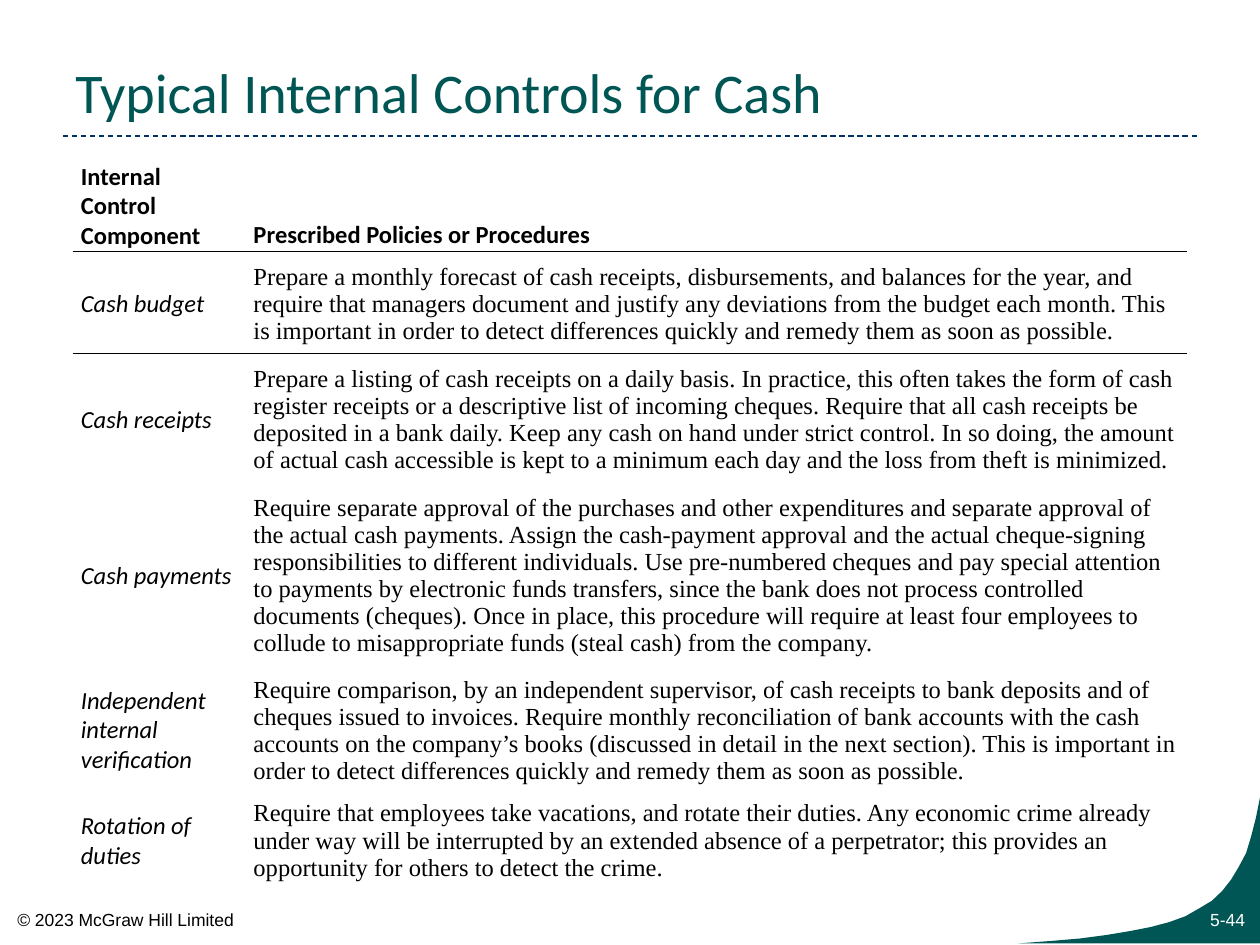
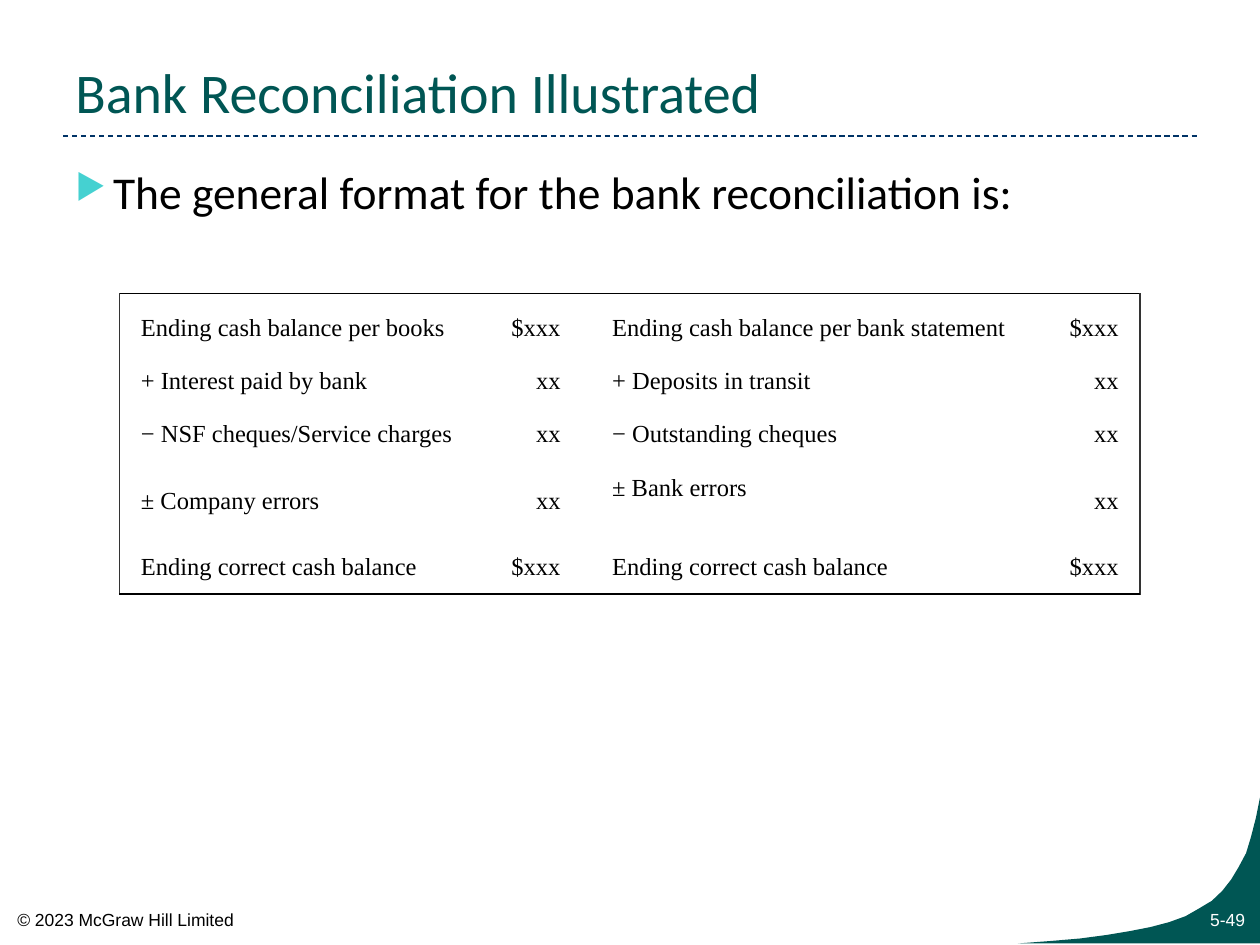
"""Build two slides on internal controls for cash and bank reconciliation."""
from dataclasses import dataclass

from pptx import Presentation
from pptx.dml.color import RGBColor
from pptx.enum.dml import MSO_LINE
from pptx.enum.shapes import MSO_CONNECTOR
from pptx.enum.text import MSO_ANCHOR, PP_ALIGN
from pptx.oxml.ns import qn
from pptx.util import Cm, Pt
from lxml.etree import SubElement


@dataclass(frozen=True)
class Theme:
    teal: str = "005654"
    navy: str = "003366"
    bullet: str = "45D1D1"
    ink: str = "000000"
    frame: str = "333333"
    paper: str = "FFFFFF"
    heading: str = "Calibri"
    prose: str = "Times New Roman"
    small: str = "Arial"
    title_size: int = 32
    body_size: int = 26
    table_size: int = 14
    footer_size: int = 10
    rule_width: float = 0.75
    plain_table: str = "{2D5ABB26-0587-4C30-8999-92F81FD0307C}"


theme = Theme()


def write(frame, text, face, size, color=theme.ink, align=PP_ALIGN.LEFT, bold=False, italic=False):
    paragraph = frame.paragraphs[0]
    paragraph.alignment = align
    paragraph.add_run().text = text
    font = paragraph.font
    font.name, font.size, font.bold, font.italic = face, Pt(size), bold, italic
    font.color.rgb = RGBColor.from_string(color)


def style_cell(cell, insets, anchor, borders):
    cell.margin_left, cell.margin_top, cell.margin_right, cell.margin_bottom = map(Cm, insets)
    cell.vertical_anchor = anchor
    properties = cell._tc.get_or_add_tcPr()
    for side in "LRTB":
        if side in borders:
            line = SubElement(properties, qn(f"a:ln{side}"), w=str(Pt(theme.rule_width)))
            SubElement(SubElement(line, qn("a:solidFill")), qn("a:srgbClr"), val=borders[side])
    cell.fill.solid()
    cell.fill.fore_color.rgb = RGBColor.from_string(theme.paper)


deck = Presentation()
deck.slide_width, deck.slide_height = Cm(25.4), Cm(19.05)

corner_curve = [
    (25.4, 16.08), (25.32, 16.48), (25.22, 16.87), (25.12, 17.2), (24.97, 17.48), (24.82, 17.73),
    (24.64, 17.96), (24.43, 18.16), (24.18, 18.31), (23.9, 18.47), (23.57, 18.59), (23.19, 18.69),
    (22.78, 18.77), (22.3, 18.85), (21.77, 18.92), (21.18, 18.97), (20.52, 19.02), (25.4, 19.02),
]
table_specs = [
    (6, 1.47, 3.18, [3.33, 0.23, 18.9], [1.88, 2.06, 2.62, 3.66, 2.56, 1.88]),
    (5, 2.41, 5.92, [7.14, 0.48, 1.47, 0.64, 8.61, 0.48, 1.75], [1.27, 0.86, 1.25, 1.47, 1.19]),
]
titles = [("Typical Internal Controls for Cash", "5-44"), ("Bank Reconciliation Illustrated", "5-49")]

pages, tables = [], []
for (title, number), (row_count, left, top, widths, heights) in zip(titles, table_specs):
    page = deck.slides.add_slide(deck.slide_layouts[6])
    pages.append(page)

    rule = page.shapes.add_connector(MSO_CONNECTOR.STRAIGHT, Cm(1.27), Cm(2.74), Cm(24.13), Cm(2.74))
    rule.line.color.rgb = RGBColor.from_string(theme.navy)
    rule.line.width = Pt(theme.rule_width)
    rule.line.dash_style = MSO_LINE.DASH
    SubElement(rule._element.spPr, qn("a:effectLst"))

    points = [(Cm(x), Cm(y)) for x, y in corner_curve]
    builder = page.shapes.build_freeform(*points[0])
    builder.add_line_segments(points[1:], close=True)
    corner = builder.convert_to_shape()
    corner.shadow.inherit = False
    corner.fill.solid()
    corner.fill.fore_color.rgb = RGBColor.from_string(theme.teal)
    corner.line.fill.background()

    number_box = page.shapes.add_textbox(Cm(22.86), Cm(18.19), Cm(2.49), Cm(0.69))
    number_box.text_frame.word_wrap = True
    write(number_box.text_frame, number, theme.small, theme.footer_size, theme.paper, PP_ALIGN.RIGHT)

    copyright_box = page.shapes.add_textbox(Cm(0.1), Cm(18.21), Cm(4.93), Cm(0.69))
    copyright_box.text_frame.word_wrap = False
    write(copyright_box.text_frame, "© 2023 McGraw Hill Limited", theme.small, theme.footer_size)

    title_box = page.shapes.add_textbox(Cm(1.27), Cm(0.43), Cm(22.86), Cm(2.21))
    title_box.text_frame.word_wrap = True
    title_box.text_frame.vertical_anchor = MSO_ANCHOR.BOTTOM
    write(title_box.text_frame, title, theme.heading, theme.title_size, theme.teal)

    graphic = page.shapes.add_table(
        row_count, len(widths), Cm(left), Cm(top), Cm(sum(widths)), Cm(sum(heights)))
    next(graphic._element.iter(qn("a:tableStyleId"))).text = theme.plain_table
    table = graphic.table
    table.first_row = table.horz_banding = False
    for column, width in zip(table.columns, widths):
        column.width = Cm(width)
    for row, height in zip(table.rows, heights):
        row.height = Cm(height)
    tables.append(table)

controls = [
    ("Internal Control Component", "Prescribed Policies or Procedures"),
    ("Cash budget",
     "Prepare a monthly forecast of cash receipts, disbursements, and balances for the year, and "
     "require that managers document and justify any deviations from the budget each month. This "
     "is important in order to detect differences quickly and remedy them as soon as possible."),
    ("Cash receipts",
     "Prepare a listing of cash receipts on a daily basis. In practice, this often takes the form of "
     "cash register receipts or a descriptive list of incoming cheques. Require that all cash receipts "
     "be deposited in a bank daily. Keep any cash on hand under strict control. In so doing, the amount "
     "of actual cash accessible is kept to a minimum each day and the loss from theft is minimized."),
    ("Cash payments",
     "Require separate approval of the purchases and other expenditures and separate approval of "
     "the actual cash payments. Assign the cash-payment approval and the actual cheque-signing "
     "responsibilities to different individuals. Use pre-numbered cheques and pay special attention "
     "to payments by electronic funds transfers, since the bank does not process controlled "
     "documents (cheques). Once in place, this procedure will require at least four employees to "
     "collude to misappropriate funds (steal cash) from the company."),
    ("Independent internal verification",
     "Require comparison, by an independent supervisor, of cash receipts to bank deposits and of "
     "cheques issued to invoices. Require monthly reconciliation of bank accounts with the cash "
     "accounts on the company’s books (discussed in detail in the next section). This is important in "
     "order to detect differences quickly and remedy them as soon as possible."),
    ("Rotation of duties",
     "Require that employees take vacations, and rotate their duties. Any economic crime already "
     "under way will be interrupted by an extended absence of a perpetrator; this provides an "
     "opportunity for others to detect the crime."),
]
header_borders = {0: {"B": theme.ink}, 1: {"T": theme.ink}}
for row, (component, policy) in enumerate(controls):
    is_header = row == 0
    borders = header_borders.get(row, {})
    name_cell, gap_cell, policy_cell = (tables[0].cell(row, column) for column in range(3))
    style_cell(name_cell, (0.16, 0.08, 0.08, 0.03), MSO_ANCHOR.MIDDLE, borders)
    style_cell(gap_cell, (0, 0, 0, 0), MSO_ANCHOR.MIDDLE, borders)
    policy_anchor = MSO_ANCHOR.BOTTOM if is_header else MSO_ANCHOR.MIDDLE
    style_cell(policy_cell, (0.08, 0.08, 0.16, 0.03), policy_anchor, borders)
    write(name_cell.text_frame, component, theme.heading, theme.table_size,
          bold=is_header, italic=not is_header)
    write(policy_cell.text_frame, policy, theme.heading if is_header else theme.prose,
          theme.table_size, bold=is_header)

body_box = pages[1].shapes.add_textbox(Cm(1.27), Cm(3.18), Cm(22.86), Cm(1.5))
body_box.text_frame.word_wrap = True
bullet = body_box.text_frame.paragraphs[0]._p.get_or_add_pPr()
bullet.set("marL", str(Cm(0.76)))
bullet.set("indent", str(-Cm(0.76)))
SubElement(SubElement(bullet, qn("a:buClr")), qn("a:srgbClr"), val=theme.bullet)
SubElement(bullet, qn("a:buSzPct"), val="76000")
SubElement(bullet, qn("a:buChar"), char="▶")
write(body_box.text_frame, "The general format for the bank reconciliation is:",
      theme.heading, theme.body_size)

reconciliation = [
    ("Ending cash balance per books", "Ending cash balance per bank statement", "$xxx"),
    ("+ Interest paid by bank", "+ Deposits in transit", "xx"),
    ("− NSF cheques/Service charges", "− Outstanding cheques", "xx"),
    ("± Company errors", "± Bank errors", "xx"),
    ("Ending correct cash balance", "Ending correct cash balance", "$xxx"),
]
last_row, last_column = len(reconciliation) - 1, 6
for row, (book_item, bank_item, amount) in enumerate(reconciliation):
    for column, text in enumerate((book_item, "", amount, "", bank_item, "", amount)):
        cell = tables[1].cell(row, column)
        edges = [("L", column == 0, theme.frame), ("R", column == last_column, theme.frame),
                 ("T", row == 0, theme.ink), ("B", row == last_row, theme.ink)]
        borders = {side: color for side, on_edge, color in edges if on_edge}
        if not text:
            style_cell(cell, (0, 0, 0, 0), MSO_ANCHOR.MIDDLE, borders)
            continue
        left_inset = 0.43 if column == 0 else 0.2
        right_inset = 0.43 if column == last_column else 0.2
        bottom_inset = 0.63 if text == "± Bank errors" else 0.08
        style_cell(cell, (left_inset, 0.2, right_inset, bottom_inset), MSO_ANCHOR.MIDDLE, borders)
        align = PP_ALIGN.RIGHT if text == amount else PP_ALIGN.LEFT
        write(cell.text_frame, text, theme.prose, theme.table_size, align=align)

deck.save("out.pptx")
